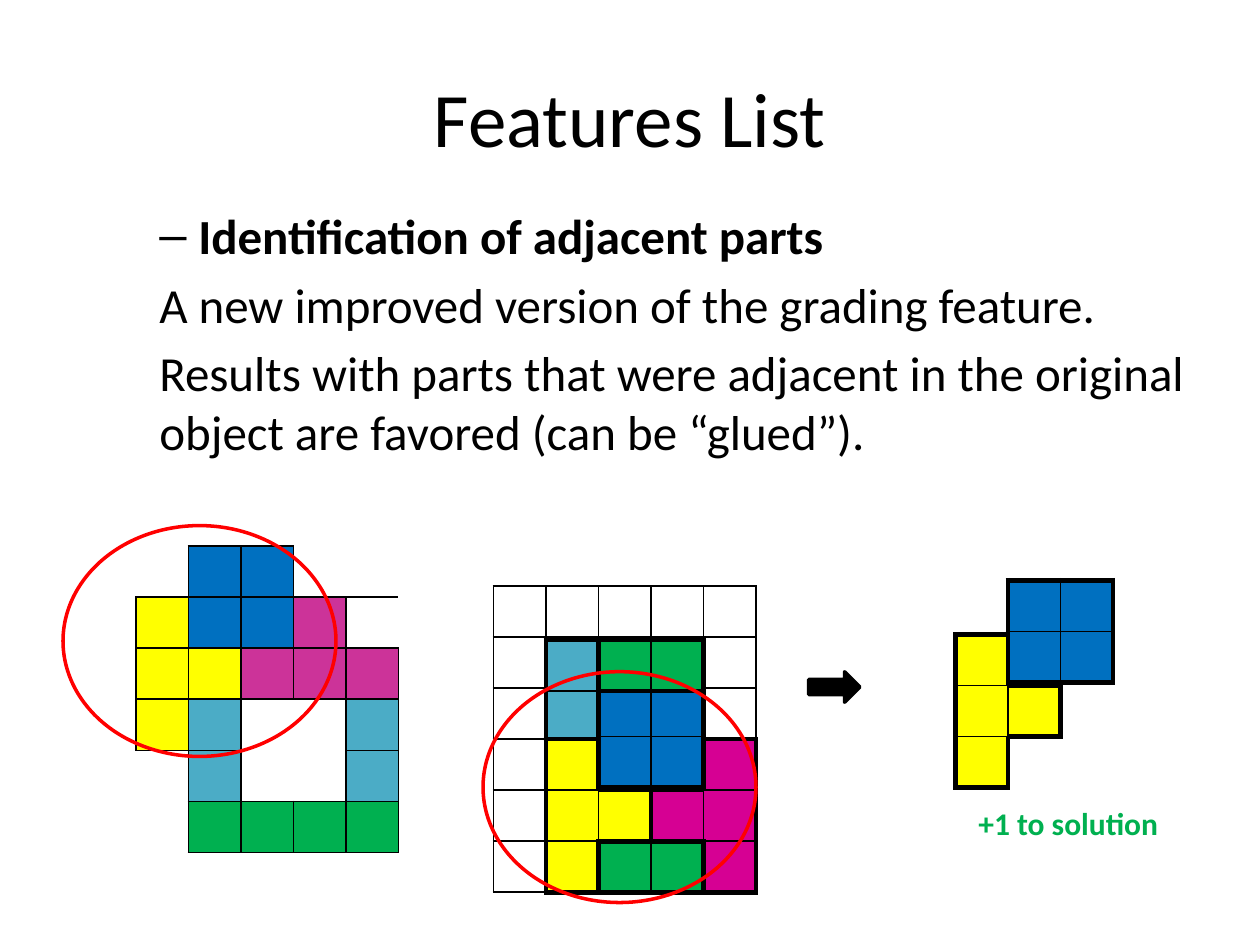
from dataclasses import dataclass

from lxml.etree import SubElement
from pptx import Presentation
from pptx.dml.color import RGBColor
from pptx.enum.shapes import MSO_SHAPE
from pptx.enum.text import MSO_ANCHOR, PP_ALIGN
from pptx.oxml import parse_xml
from pptx.oxml.ns import nsdecls, qn
from pptx.util import Inches, Pt

COLUMN, ROW = 10 / 24, 7.5 / 18.5
COLORS = {
    "ink": "000000", "ring": "FF0000", "green": "00B050", "blue": "0070C0",
    "yellow": "FFFF00", "teal": "4BACC6", "pink": "CC3399",
    "magenta": "D60093", "white": "FFFFFF",
}
LETTERS = {"G": "green", "B": "blue", "Y": "yellow", "T": "teal",
           "P": "pink", "M": "magenta", "W": "white", "-": "white"}
BLANKS = ".-"
NO_STYLE = "{2D5ABB26-0587-4C30-8999-92F81FD0307C}"

HOUSE = ["-BB..", "YBBP-", "YYPPP", "YT--T", "-T--T", "-GGGG"]
HOUSE_MERGES = [((0, 3), (0, 4)), ((3, 2), (4, 2)),
                ((3, 3), (4, 3)), ((4, 0), (5, 0))]
EMPTY_GRID = ["WWWWW"] * 6
SQUARE = ["BB", "BB"]
YELLOW_TEE = ["Y.", "YY", "Y."]
MAGENTA_TEE = [".M", "MM", ".M"]
TEAL_BAR = ["T..", "T.."]
TEAL_MERGES = [((0, 1), (1, 1))]
GREEN_BAR = ["GG."]


@dataclass
class Box:
    left: float
    top: float
    width: float
    height: float

    def inside(self, left, top, width, height):
        return Box(self.left + left, self.top + top, width, height)

    def lengths(self):
        return (Inches(self.left * COLUMN), Inches(self.top * ROW),
                Inches(self.width * COLUMN), Inches(self.height * ROW))


def color(name):
    return RGBColor.from_string(COLORS[name])


def write(para, text, size, ink="ink", bold=False, align=None,
          before=0, margin=0, indent=0, bullet=None):
    span = para.add_run()
    span.text = text
    span.font.name = "Calibri"
    span.font.size = Pt(size)
    span.font.bold = bold
    span.font.color.rgb = color(ink)
    para.alignment = align
    para.space_before = Pt(before)
    properties = para._p.get_or_add_pPr()
    properties.set("marL", str(Inches(margin)))
    properties.set("indent", str(Inches(indent)))
    if bullet:
        SubElement(properties, qn("a:buFont")).set("typeface", "Arial")
        SubElement(properties, qn("a:buChar")).set("char", bullet)


def add_text_frame(slide, box):
    frame = slide.shapes.add_textbox(*box.lengths()).text_frame
    frame.word_wrap = True
    return frame


def add_title(slide, box):
    title = slide.shapes.title
    title.left, title.top, title.width, title.height = box.lengths()
    title.text_frame.vertical_anchor = MSO_ANCHOR.MIDDLE
    write(title.text_frame.paragraphs[0], "Features List", 44, align=PP_ALIGN.CENTER)


def add_body(slide, box):
    frame = add_text_frame(slide, box)
    write(frame.paragraphs[0], "Identification of adjacent parts", 28, bold=True,
          before=5.6, margin=0.81, indent=-0.31, bullet="–")
    for text in (
        "A new improved version of the grading feature.",
        "Results with parts that were adjacent in the original object "
        "are favored (can be “glued”).",
    ):
        write(frame.add_paragraph(), text, 28, before=5.6, margin=0.5)


def add_outlined(slide, kind, box, line, fill=None):
    shape = slide.shapes.add_shape(kind, *box.lengths())
    shape.shadow.inherit = False
    shape.line.color.rgb = color(line)
    shape.line.width = Pt(2)
    if fill:
        shape.fill.solid()
        shape.fill.fore_color.rgb = color(fill)
    else:
        shape.fill.background()
    return shape


def edge_width(letter, neighbour, outline):
    if letter in BLANKS and neighbour in BLANKS:
        return 0
    return 1 if letter == neighbour else outline


def set_borders(cell, widths):
    properties = cell._tc.get_or_add_tcPr()
    for position, (side, width) in enumerate(zip("LRTB", widths)):
        paint = (f'<a:solidFill><a:srgbClr val="{COLORS["ink"]}"/></a:solidFill>'
                 if width else "<a:noFill/>")
        properties.insert(position, parse_xml(
            f'<a:ln{side} {nsdecls("a")} w="{Pt(width)}">{paint}</a:ln{side}>'))


def add_piece(slide, pattern, region, left=0, top=0, outline=3,
              last_width=1, merges=()):
    rows, columns = len(pattern), len(pattern[0])
    box = region.inside(left, top, columns - 1 + last_width, rows)
    table = slide.shapes.add_table(rows, columns, *box.lengths()).table
    table.first_row = table.horz_banding = False
    table._tbl.tblPr[0].text = NO_STYLE
    for number, column in enumerate(table.columns, start=1):
        column.width = Inches(COLUMN * (last_width if number == columns else 1))

    def letter_at(row, column):
        within = 0 <= row < rows and 0 <= column < columns
        return pattern[row][column] if within else "."

    for row in range(rows):
        for column in range(columns):
            letter = letter_at(row, column)
            cell = table.cell(row, column)
            cell.margin_top = cell.margin_bottom = 0
            if letter == ".":
                cell.fill.background()
            else:
                cell.fill.solid()
                cell.fill.fore_color.rgb = color(LETTERS[letter])
            neighbours = ((row, column - 1), (row, column + 1),
                          (row - 1, column), (row + 1, column))
            set_borders(cell, [edge_width(letter, letter_at(*place), outline)
                               for place in neighbours])
    for first, last in merges:
        table.cell(*first).merge(table.cell(*last))


def add_house(slide, box):
    add_piece(slide, HOUSE, box, outline=1, merges=HOUSE_MERGES)
    add_outlined(slide, MSO_SHAPE.OVAL, box.inside(-1.39, -0.4, 5.2, 4.52), "ring")


def add_packed_grid(slide, box):
    add_piece(slide, EMPTY_GRID, box, outline=1)
    add_piece(slide, MAGENTA_TEE, box, 3, 3)
    add_piece(slide, SQUARE, box, 2, 1.95)
    add_piece(slide, TEAL_BAR, box, 1, 1.06, last_width=2, merges=TEAL_MERGES)
    add_piece(slide, YELLOW_TEE, box, 1, 3)
    for top in (5, 1.06):
        add_piece(slide, GREEN_BAR, box, 2, top, last_width=2)
    add_outlined(slide, MSO_SHAPE.OVAL, box.inside(-0.2, 1.68, 5.2, 4.52), "ring")


def add_glued_pair(slide, box):
    add_piece(slide, SQUARE, box, left=1)
    add_piece(slide, YELLOW_TEE, box, top=1.06)
    caption = add_text_frame(slide, box.inside(0.2, 4.25, 4.2, 1))
    write(caption.paragraphs[0], "+1 to solution", 18, ink="green", bold=True)


def add_arrow(slide, box):
    arrow = add_outlined(slide, MSO_SHAPE.UP_ARROW, box, "ink", fill="ink")
    arrow.rotation = 90


def main():
    deck = Presentation()
    deck.slide_width, deck.slide_height = Inches(10), Inches(7.5)
    page = deck.slides.add_slide(deck.slide_layouts[5])
    add_title(page, Box(1.2, 0.74, 21.6, 3.08))
    add_body(page, Box(1.6, 3.9, 21.6, 13.57))
    add_arrow(page, Box(15.6, 12.95, 0.58, 1))
    add_glued_pair(page, Box(18.2, 11.36, 4.4, 5.3))
    add_house(page, Box(2.59, 10.69, 5, 6))
    add_packed_grid(page, Box(9.4, 11.47, 5, 6))
    deck.save("out.pptx")


if __name__ == "__main__":
    main()
